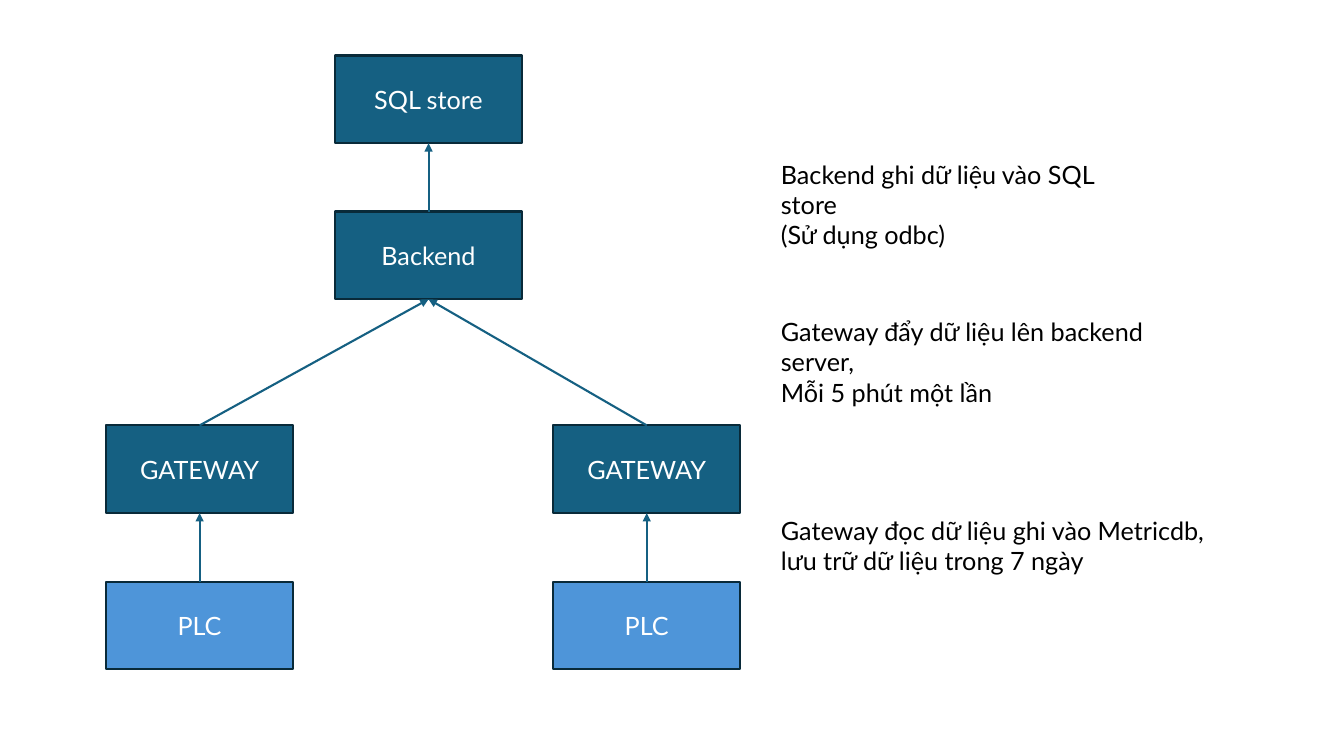
from dataclasses import dataclass

from lxml.etree import SubElement
from pptx import Presentation
from pptx.dml.color import RGBColor
from pptx.enum.shapes import MSO_CONNECTOR as CONN, MSO_SHAPE as SHAPE
from pptx.enum.text import MSO_ANCHOR as ANCHOR, PP_ALIGN as ALIGN
from pptx.oxml.ns import qn
from pptx.util import Cm, Pt


@dataclass(frozen=True)
class Theme:
    server: RGBColor = RGBColor.from_string("156082")
    device: RGBColor = RGBColor.from_string("4E95D9")
    border: RGBColor = RGBColor.from_string("092A39")
    box_text: RGBColor = RGBColor.from_string("FFFFFF")
    note_text: RGBColor = RGBColor.from_string("000000")
    font: str = "Lato"
    size: Pt = Pt(18)
    line: Pt = Pt(1.5)


theme = Theme()
FONT = {"name": theme.font, "size": theme.size}
BOX_FRAME = {"vertical_anchor": ANCHOR.MIDDLE, "word_wrap": True}
NOTE_FRAME = {"vertical_anchor": ANCHOR.TOP, "word_wrap": True}


def write(sp, lines, frame, align, color):
    tf = sp.text_frame
    for name, value in frame.items():
        setattr(tf, name, value)
    for i, line in enumerate(lines):
        p = tf.paragraphs[0] if i == 0 else tf.add_paragraph()
        p.alignment = align
        r = p.add_run()
        r.text = line
        for name, value in FONT.items():
            setattr(r.font, name, value)
        r.font.color.rgb = color


prs = Presentation()
prs.slide_width, prs.slide_height = Cm(33.87), Cm(19.05)
s = prs.slides.add_slide(prs.slide_layouts[6])

# Boxes: three columns, four rows
BOX_W, BOX_H = 4.72, 2.21
LEFT, MIDDLE, RIGHT = 2.67, 8.44, 13.94
STORE_ROW, BACKEND_ROW, GATEWAY_ROW, PLC_ROW = 1.4, 5.33, 10.72, 14.66
nodes = [
    ("store", "SQL store", MIDDLE, STORE_ROW, theme.server),
    ("backend", "Backend", MIDDLE, BACKEND_ROW, theme.server),
]
for side, x in (("left", LEFT), ("right", RIGHT)):
    nodes += [
        (f"gateway {side}", "GATEWAY", x, GATEWAY_ROW, theme.server),
        (f"plc {side}", "PLC", x, PLC_ROW, theme.device),
    ]

boxes = {}
for key, label, x, y, fill in nodes:
    sp = s.shapes.add_shape(SHAPE.RECTANGLE, Cm(x), Cm(y), Cm(BOX_W), Cm(BOX_H))
    sp.shadow.inherit = False
    sp.fill.solid()
    sp.fill.fore_color.rgb = fill
    sp.line.color.rgb = theme.border
    sp.line.width = theme.line
    write(sp, [label], BOX_FRAME, ALIGN.CENTER, theme.box_text)
    boxes[key] = sp

# Arrows: from the top of each box to the bottom of the one above
for lower, upper in (
    ("plc left", "gateway left"),
    ("plc right", "gateway right"),
    ("gateway left", "backend"),
    ("gateway right", "backend"),
    ("backend", "store"),
):
    arrow = s.shapes.add_connector(CONN.STRAIGHT, 0, 0, 0, 0)
    arrow.begin_connect(boxes[lower], 0)
    arrow.end_connect(boxes[upper], 2)
    arrow.line.color.rgb = theme.server
    arrow.line.width = theme.line
    SubElement(arrow.line._get_or_add_ln(), qn("a:tailEnd"), type="triangle")
    SubElement(arrow._element.spPr, qn("a:effectLst"))

# Notes beside the data flow
NOTE_X, NOTE_H = 19.43, 1.8
for y, width, lines in (
    (3.89, 9.6, ["Backend ghi dữ liệu vào SQL\u00a0store".replace("\u00a0", " "), "(Sử dụng odbc)"]),
    (7.85, 11.4, ["Gateway đẩy dữ liệu lên backend server,", "Mỗi 5 phút một lần"]),
    (12.85, 11.4, ["Gateway đọc dữ liệu ghi vào Metricdb,", "lưu trữ dữ liệu trong 7 ngày"]),
):
    note = s.shapes.add_textbox(Cm(NOTE_X), Cm(y), Cm(width), Cm(NOTE_H))
    write(note, lines, NOTE_FRAME, ALIGN.LEFT, theme.note_text)

prs.save("out.pptx")
